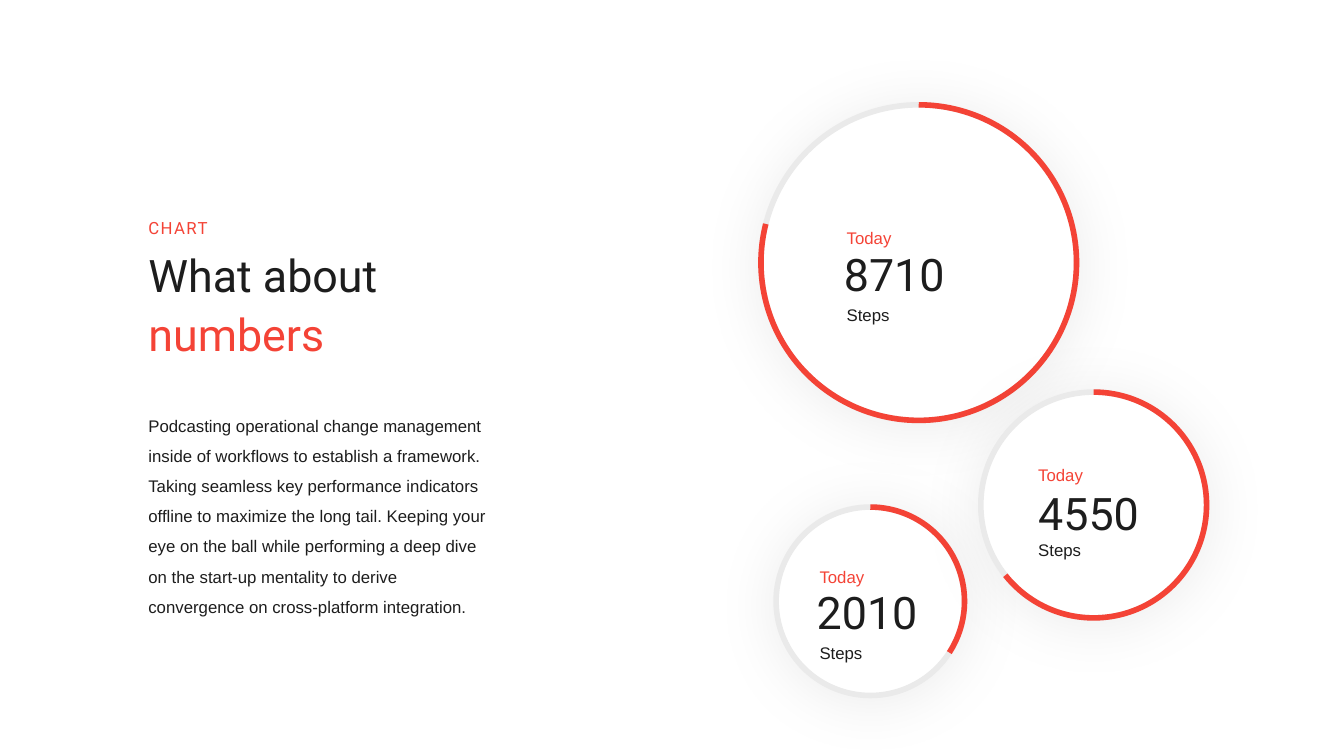
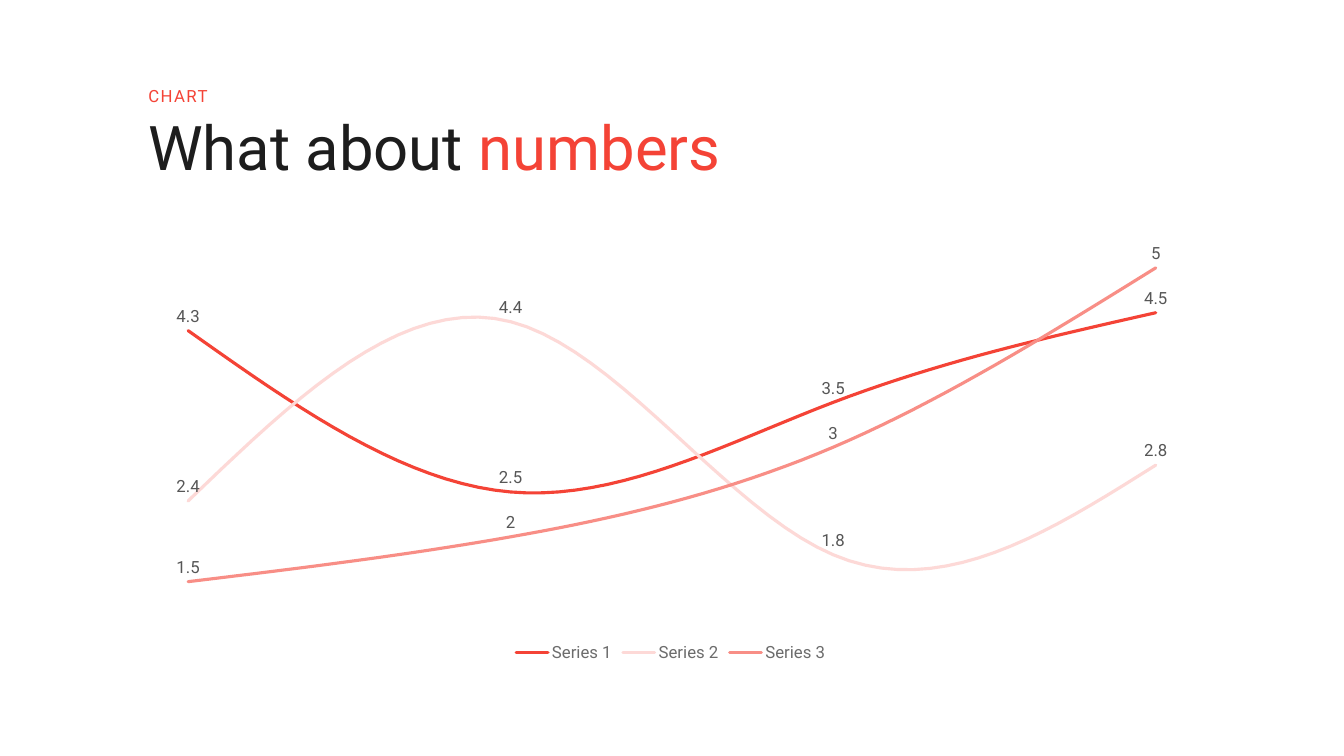
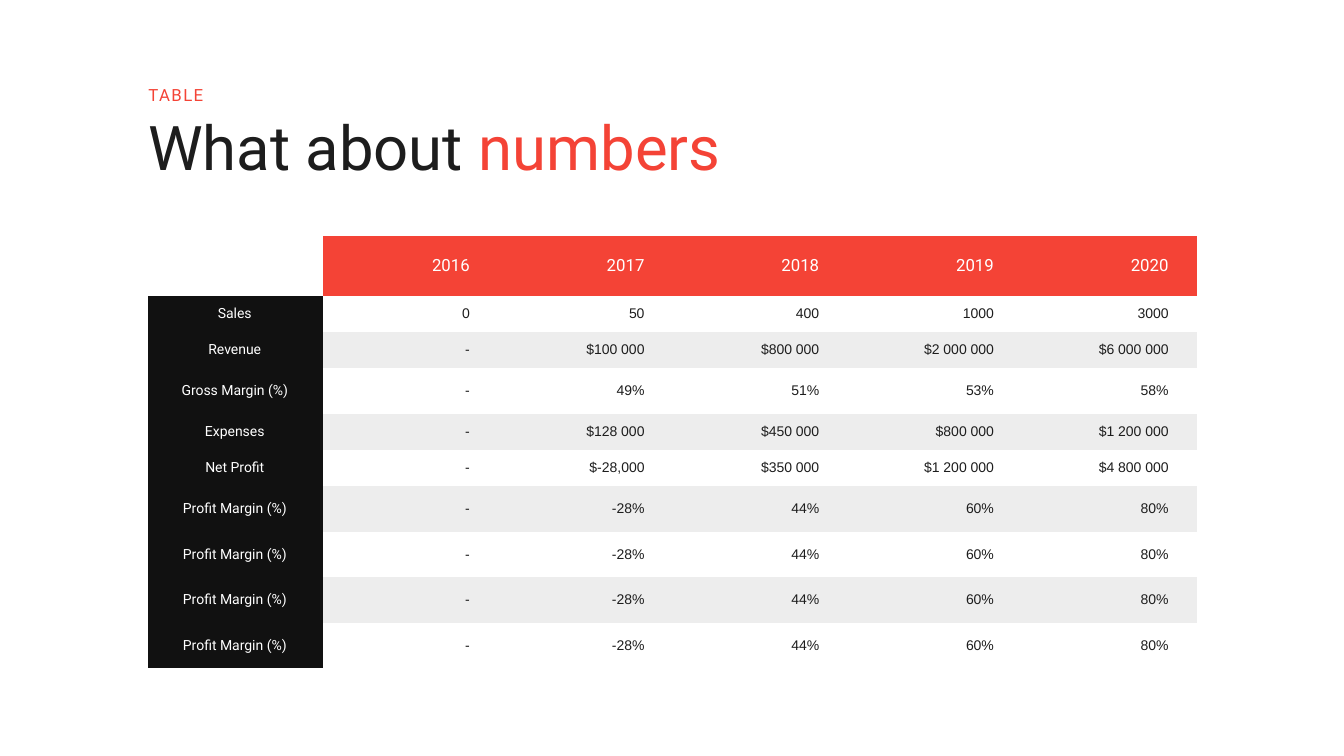
from dataclasses import dataclass

from lxml.etree import SubElement
from pptx import Presentation
from pptx.chart.data import CategoryChartData
from pptx.dml.color import RGBColor
from pptx.enum.chart import XL_CHART_TYPE, XL_LABEL_POSITION, XL_LEGEND_POSITION
from pptx.enum.shapes import MSO_SHAPE
from pptx.enum.text import MSO_ANCHOR, PP_ALIGN
from pptx.oxml.ns import qn
from pptx.util import Pt

RED = RGBColor(0xF4, 0x43, 0x36)
ROSE = RGBColor(0xF8, 0x8E, 0x86)
BLUSH = RGBColor(0xFD, 0xD9, 0xD7)
INK = RGBColor(0x1D, 0x1D, 0x1D)
BLACK = RGBColor(0x11, 0x11, 0x11)
LABEL_GRAY = RGBColor(0x56, 0x56, 0x56)
LEGEND_GRAY = RGBColor(0x6C, 0x6C, 0x6C)
TRACK_GRAY = RGBColor(0xEA, 0xEA, 0xEA)
BAND_GRAY = RGBColor(0xED, 0xED, 0xED)
WHITE = RGBColor(0xFF, 0xFF, 0xFF)

HEADING_FONT = "Roboto"
BODY_FONT = "Arial"
SLIDE_WIDTH, SLIDE_HEIGHT = 960, 540
MARGIN = 106
CONTENT_WIDTH = 748.8
PLAIN_TABLE_STYLE = "{2D5ABB26-0587-4C30-8999-92F81FD0307C}"

BODY = (
    "Podcasting operational change management inside of workflows to establish a framework. "
    "Taking seamless key performance indicators offline to maximize the long tail. "
    "Keeping your eye on the ball while performing a deep dive on the start-up mentality "
    "to derive convergence on cross-platform integration."
)

CHART_SERIES = [
    ("Series 1", (4.3, 2.5, 3.5, 4.5), RED),
    ("Series 2", (2.4, 4.4, 1.8, 2.8), BLUSH),
    ("Series 3", (1.5, 2, 3, 5), ROSE),
]

PROFIT_MARGIN = ("Profit Margin (%)", "-", "-28%", "44%", "60%", "80%")
TABLE_ROWS = [
    ("", "2016", "2017", "2018", "2019", "2020"),
    ("Sales", "0", "50", "400", "1000", "3000"),
    ("Revenue", "-", "$100 000", "$800 000", "$2 000 000", "$6 000 000"),
    ("Gross Margin (%)", "-", "49%", "51%", "53%", "58%"),
    ("Expenses", "-", "$128 000", "$450 000", "$800 000", "$1 200 000"),
    ("Net Profit", "-", "$-28,000", "$350 000", "$1 200 000", "$4 800 000"),
] + [PROFIT_MARGIN] * 4


@dataclass
class Dial:
    left: float
    top: float
    diameter: float
    value: str
    end_angle: float
    label_left: float
    label_top: float
    value_shift: float
    value_drop: float
    unit_drop: float


DIALS = [
    Dial(554.4, 362.2, 134.6, "2010", 33, 31, 35.3, -2, 24, 54.7),
    Dial(543.6, 74.9, 225.4, "8710", 194.2, 61.2, 80.6, -2, 24.3, 54.7),
    Dial(700.6, 280.1, 161.3, "4550", 141.5, 41, 44.6, 0, 26, 53.3),
]


def style_font(font, size, color, name):
    font.size = Pt(size)
    font.color.rgb = color
    font.name = name


def add_text(shapes, box, text, size, color, name, spacing, inset=0):
    text_box = shapes.add_textbox(*map(Pt, box))
    frame = text_box.text_frame
    frame.word_wrap = True
    frame.margin_left = frame.margin_right = 0
    frame.margin_top = frame.margin_bottom = Pt(inset)
    frame.text = text
    paragraph = frame.paragraphs[0]
    paragraph.line_spacing = spacing
    style_font(paragraph.runs[0].font, size, color, name)
    return text_box


def add_heading(slide, kicker, kicker_top, title_top, size=44, spacing=0.9, stacked=False):
    title = add_text(slide.shapes, (MARGIN, title_top, CONTENT_WIDTH, size * 1.1),
                     "What about ", size, INK, HEADING_FONT, spacing)
    paragraph = title.text_frame.paragraphs[0]
    if stacked:
        paragraph.add_line_break()
    accent = paragraph.add_run()
    accent.text = "numbers"
    style_font(accent.font, size, RED, HEADING_FONT)

    label = add_text(slide.shapes, (MARGIN, kicker_top, 142.6, 17.3),
                     kicker, 12, RED, HEADING_FONT, 1.2)
    label.text_frame.vertical_anchor = MSO_ANCHOR.BOTTOM
    label.text_frame.paragraphs[0].runs[0].font._element.set("spc", "100")


def add_ring(shapes, preset, box, color):
    ring = shapes.add_shape(preset, *map(Pt, box))
    ring.shadow.inherit = False
    ring.fill.background()
    ring.line.color.rgb = color
    ring.line.width = Pt(4)
    return ring


def add_soft_shadow(shape):
    effects = shape.element.find(".//" + qn("a:effectLst"))
    shadow = SubElement(effects, qn("a:outerShdw"), blurRad=str(Pt(45)), dist=str(Pt(3)),
                        dir="5400000", algn="t", rotWithShape="0")
    color = SubElement(shadow, qn("a:srgbClr"), val="000000")
    SubElement(color, qn("a:alpha"), val="8000")


def add_dial(slide, dial):
    shapes = slide.shapes.add_group_shape().shapes
    box = (dial.left, dial.top, dial.diameter, dial.diameter)
    track = add_ring(shapes, MSO_SHAPE.OVAL, box, TRACK_GRAY)
    track.fill.solid()
    track.fill.fore_color.rgb = WHITE
    add_soft_shadow(track)
    progress = add_ring(shapes, MSO_SHAPE.ARC, box, RED)
    for index, angle in enumerate((270, dial.end_angle)):
        progress.adjustments[index] = angle * 0.6

    left = dial.left + dial.label_left
    top = dial.top + dial.label_top
    add_text(shapes, (left + dial.value_shift, top + dial.value_drop, 86, 38),
             dial.value, 32, INK, HEADING_FONT, 0.8, 3.6)
    for text, drop, color in (("Steps", dial.unit_drop, INK), ("Today", 0, RED)):
        add_text(shapes, (left, top + drop, 57.6, 21.6), text, 12, color, BODY_FONT, 1.5)


def set_layout(parent, position, **fractions):
    for existing in parent.findall(qn("c:layout")):
        parent.remove(existing)
    layout = parent.makeelement(qn("c:layout"))
    parent.insert(position, layout)
    manual = SubElement(layout, qn("c:manualLayout"))
    if "w" in fractions:
        SubElement(manual, qn("c:layoutTarget"), val="inner")
    for name in ("xMode", "yMode"):
        SubElement(manual, qn("c:" + name), val="edge")
    for name, fraction in fractions.items():
        SubElement(manual, qn("c:" + name), val=str(fraction))


def add_line_chart(slide, box):
    data = CategoryChartData()
    data.categories = ["1", "2", "3", "4"]
    for name, values, color in CHART_SERIES:
        data.add_series(name, values)
    chart = slide.shapes.add_chart(XL_CHART_TYPE.LINE, *map(Pt, box), data).chart
    style_font(chart.font, 10, INK, HEADING_FONT)
    chart.has_title = False
    chart.has_legend = True
    chart.legend.position = XL_LEGEND_POSITION.BOTTOM
    chart.legend.include_in_layout = False
    style_font(chart.legend.font, 12, LEGEND_GRAY, HEADING_FONT)

    for axis in (chart.category_axis, chart.value_axis):
        axis.has_major_gridlines = False
        axis.visible = False
    chart.value_axis.minimum_scale = 1
    chart.value_axis.maximum_scale = 6

    plot = chart.plots[0]
    plot.vary_by_categories = False
    for series, (name, values, color) in zip(plot.series, CHART_SERIES):
        series.smooth = True
        series.format.line.color.rgb = color
        series.format.line.width = Pt(2.25)
        labels = series.data_labels
        labels.show_value = True
        labels.position = XL_LABEL_POSITION.ABOVE
        style_font(labels.font, 12, LABEL_GRAY, HEADING_FONT)

    root = chart.element
    for line in root.iterfind(".//" + qn("c:ser") + "/" + qn("c:spPr") + "/" + qn("a:ln")):
        line.set("cap", "rnd")
    set_layout(root.find(".//" + qn("c:plotArea")), 0, x=0.02, y=0.02, w=0.96, h=0.75)
    set_layout(root.find(".//" + qn("c:legend")), 1, x=0.38, y=0.79)


def cell_style(row, column):
    if row == 0:
        return RED, WHITE, HEADING_FONT, 12
    if column == 0:
        return BLACK, WHITE, HEADING_FONT, 10
    return (WHITE if row % 2 else BAND_GRAY), INK, BODY_FONT, 10


def add_table(slide, left, top, width):
    heights = [42.8] + [32.6 if "%" in row[0] else 25.8 for row in TABLE_ROWS[1:]]
    column_count = len(TABLE_ROWS[0])
    frame = slide.shapes.add_table(len(TABLE_ROWS), column_count,
                                   Pt(left), Pt(top), Pt(width), Pt(sum(heights)))
    frame.element.find(".//" + qn("a:tableStyleId")).text = PLAIN_TABLE_STYLE
    table = frame.table
    table.first_row = table.horz_banding = False
    for column in table.columns:
        column.width = Pt(width / column_count)
    for row, (height, texts) in enumerate(zip(heights, TABLE_ROWS)):
        table.rows[row].height = Pt(height)
        for column, text in enumerate(texts):
            cell = table.cell(row, column)
            if not text:
                cell.fill.background()
                continue
            fill, color, name, size = cell_style(row, column)
            cell.fill.solid()
            cell.fill.fore_color.rgb = fill
            cell.vertical_anchor = MSO_ANCHOR.MIDDLE
            cell.margin_right = Pt(20 if column else 8.6)
            cell.text_frame.text = text
            paragraph = cell.text_frame.paragraphs[0]
            paragraph.alignment = PP_ALIGN.RIGHT if column else PP_ALIGN.CENTER
            style_font(paragraph.runs[0].font, size, color, name)


def build_dial_slide(slide):
    for dial in DIALS:
        add_dial(slide, dial)
    add_heading(slide, "CHART", 152.6, 172.8, size=32, spacing=1.1, stacked=True)
    add_text(slide.shapes, (MARGIN, 289.4, 245.5, 152.6), BODY, 12, INK, BODY_FONT, 1.5)


def build_chart_slide(slide):
    add_line_chart(slide, (0, 118.8, SLIDE_WIDTH, 427))
    add_heading(slide, "CHART", 58.3, 83.5)


def build_table_slide(slide):
    add_heading(slide, "TABLE", 57.6, 83.5)
    add_table(slide, MARGIN, 168.5, CONTENT_WIDTH)


def main():
    presentation = Presentation()
    presentation.slide_width = Pt(SLIDE_WIDTH)
    presentation.slide_height = Pt(SLIDE_HEIGHT)
    for build in (build_dial_slide, build_chart_slide, build_table_slide):
        build(presentation.slides.add_slide(presentation.slide_layouts[6]))
    presentation.save("out.pptx")


if __name__ == "__main__":
    main()
